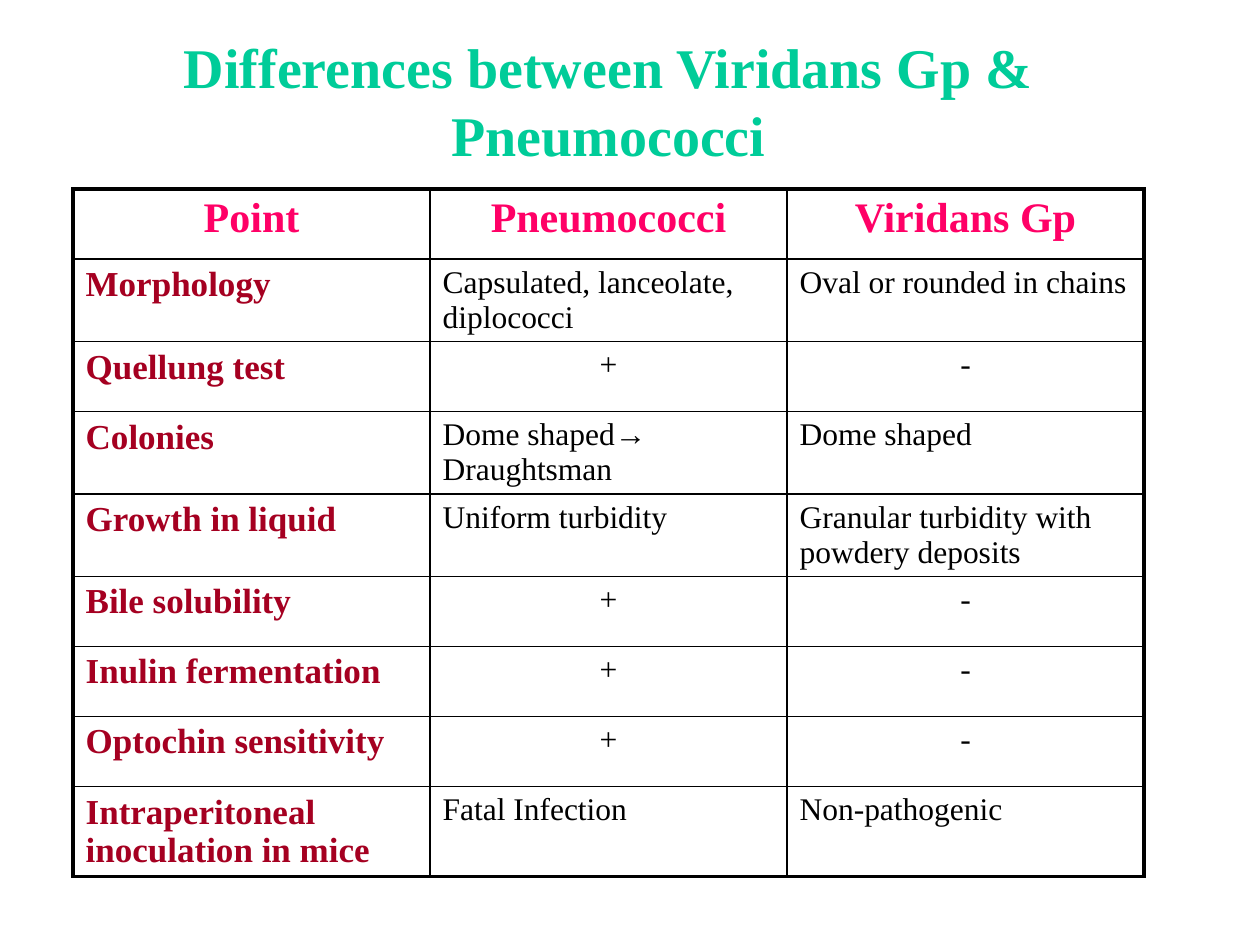
from lxml import etree
from pptx import Presentation
from pptx.dml.color import RGBColor
from pptx.enum.text import MSO_ANCHOR, PP_ALIGN
from pptx.oxml.ns import qn
from pptx.util import Inches, Pt

LEFT, CENTER = PP_ALIGN.LEFT, PP_ALIGN.CENTER
MIDDLE = MSO_ANCHOR.MIDDLE
GREEN = RGBColor(0x00, 0xCC, 0x99)
PINK = RGBColor(0xFF, 0x00, 0x66)
DARK_RED = RGBColor(0xA5, 0x00, 0x21)
BLACK = RGBColor(0x00, 0x00, 0x00)

FONT = "Times New Roman"
TITLE = "Differences between Viridans Gp & Pneumococci"
ROWS = [
    ("Point", "Pneumococci", "Viridans Gp"),
    ("Morphology", "Capsulated, lanceolate, diplococci", "Oval or rounded in chains"),
    ("Quellung test", "+", "-"),
    ("Colonies", "Dome shaped→ Draughtsman", "Dome shaped"),
    ("Growth in liquid", "Uniform turbidity", "Granular turbidity with powdery deposits"),
    ("Bile solubility", "+", "-"),
    ("Inulin fermentation", "+", "-"),
    ("Optochin sensitivity", "+", "-"),
    ("Intraperitoneal inoculation in mice", "Fatal Infection", "Non-pathogenic"),
]
TITLE_STYLE = {"size": Pt(32), "bold": True, "color": GREEN}
HEADER_STYLE = {"size": Pt(24), "bold": True, "color": PINK}
POINT_STYLE = {"size": Pt(20), "bold": True, "color": DARK_RED}
VALUE_STYLE = {"size": Pt(18), "bold": False, "color": BLACK}

X, TABLE_Y, WIDTH, ROW_H = 0.58, 1.5, 8.5, 0.556
OUTER, INNER = 2.25, 1


def write(tf, text, style, align):
    p = tf.paragraphs[0]
    p.alignment = align
    r = p.add_run()
    r.text = text
    r.font.name = FONT
    for name, value in style.items():
        if name == "color":
            r.font.color.rgb = value
        else:
            setattr(r.font, name, value)


def set_borders(cell, widths):
    """Put black borders, given in points by side, ahead of the cell's fill."""
    tc_pr = cell._tc.get_or_add_tcPr()
    for i, (side, width) in enumerate(widths.items()):
        ln = etree.Element(qn(f"a:ln{side}"), w=str(Pt(width)))
        fill = etree.SubElement(ln, qn("a:solidFill"))
        etree.SubElement(fill, qn("a:srgbClr"), val=str(BLACK))
        tc_pr.insert(i, ln)


prs = Presentation()
prs.slide_width, prs.slide_height = Inches(10), Inches(7.5)
slide = prs.slides.add_slide(prs.slide_layouts[5])

title = slide.shapes.title
title.left, title.top = Inches(X), Inches(0.17)
title.width, title.height = Inches(WIDTH), Inches(1.25)
title.text_frame.vertical_anchor = MIDDLE
write(title.text_frame, TITLE, TITLE_STYLE, CENTER)

n_rows, n_cols = len(ROWS), len(ROWS[0])
table = slide.shapes.add_table(
    n_rows, n_cols, Inches(X), Inches(TABLE_Y), Inches(WIDTH), Inches(ROW_H * n_rows)
).table
table.first_row = table.horz_banding = False
for row in table.rows:
    row.height = Inches(ROW_H)

for i, row in enumerate(ROWS):
    for j, text in enumerate(row):
        cell = table.cell(i, j)
        cell.fill.background()
        style = HEADER_STYLE if i == 0 else POINT_STYLE if j == 0 else VALUE_STYLE
        align = CENTER if i == 0 or text in "+-" else LEFT
        write(cell.text_frame, text, style, align)
        set_borders(cell, {
            "L": OUTER if j == 0 else INNER,
            "R": OUTER if j == n_cols - 1 else INNER,
            "T": OUTER if i == 0 else INNER,
            "B": OUTER if i == n_rows - 1 else INNER,
        })

prs.save("out.pptx")
